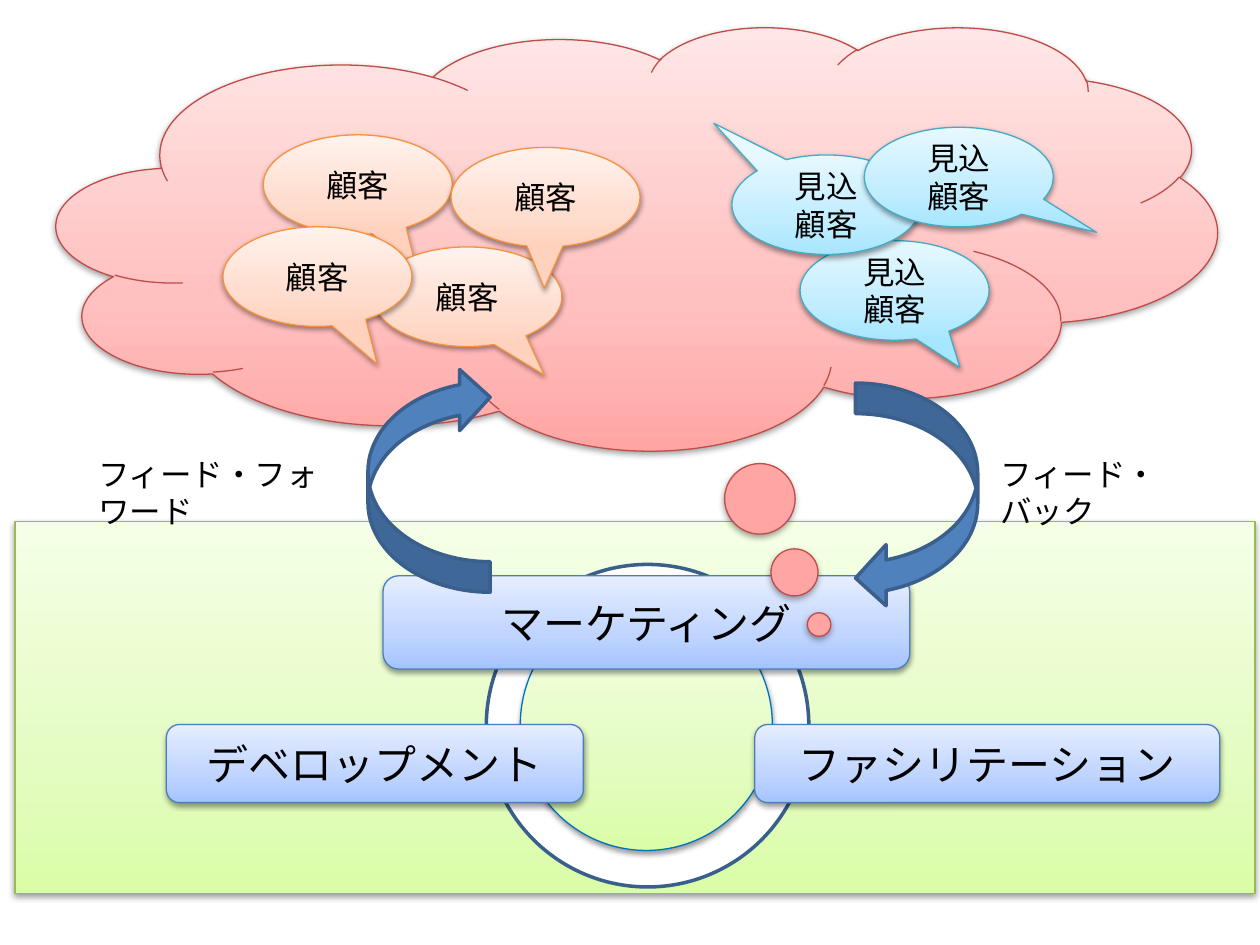
from copy import deepcopy

from pptx import Presentation, util as u
from pptx.dml.color import RGBColor
from pptx.enum import shapes, text
from pptx.oxml import parse_xml
from pptx.oxml.ns import nsdecls, qn

BLACK = RGBColor(0x00, 0x00, 0x00)
WHITE = RGBColor(0xFF, 0xFF, 0xFF)
ARROW_BLUE = RGBColor(0x4F, 0x81, 0xBD)
NAVY = RGBColor(0x3A, 0x5F, 0x8C)
RING_BLUE = RGBColor(0x00, 0x70, 0xC0)
GREEN_EDGE = RGBColor(0x98, 0xB9, 0x55)
BLUE_EDGE = RGBColor(0x4B, 0x7E, 0xBC)
RED_EDGE = RGBColor(0xBF, 0x4C, 0x48)
ORANGE_EDGE = RGBColor(0xF6, 0x92, 0x40)
AQUA_EDGE = RGBColor(0x46, 0xAA, 0xC5)
# Gradients run from the bottom edge to the top edge
GREENS = [RGBColor(0xDA, 0xFD, 0xA7), RGBColor(0xE4, 0xFC, 0xC2), RGBColor(0xF5, 0xFF, 0xE7)]
BLUES = [RGBColor(0xA4, 0xC4, 0xFF), RGBColor(0xBF, 0xD4, 0xFF), RGBColor(0xE6, 0xEE, 0xFF)]
REDS = [RGBColor(0xFF, 0xA6, 0xA5), RGBColor(0xFF, 0xC0, 0xBF), RGBColor(0xFF, 0xE7, 0xE7)]
ORANGES = [RGBColor(0xFF, 0xD2, 0xBD), RGBColor(0xFF, 0xDE, 0xD0), RGBColor(0xFF, 0xF2, 0xED)]
AQUAS = [RGBColor(0xA7, 0xE6, 0xFF), RGBColor(0xC1, 0xED, 0xFF), RGBColor(0xE7, 0xF8, 0xFF)]
STOPS = (0, 0.35, 1)

prs = Presentation()
prs.slide_width, prs.slide_height = u.Inches(10), u.Inches(7.5)
COL, ROW = prs.slide_width / 100, prs.slide_height / 75
slide = prs.slides.add_slide(prs.slide_layouts[6])


def write(box, words, size=18, font="Calibri", align=text.PP_ALIGN.CENTER,
          anchor=text.MSO_ANCHOR.MIDDLE):
    frame = box.text_frame
    frame.word_wrap = True
    frame.vertical_anchor = anchor
    paragraph = frame.paragraphs[0]
    paragraph.text = words
    paragraph.alignment = align
    for run in paragraph.runs:
        run.font.size = u.Pt(size)
        run.font.name = font
        run.font.color.rgb = BLACK


def draw(kind, col, row, cols, rows, fill, edge, weight=0.75, adjust=()):
    """Place a shape on the grid; a list of colours gives a gradient and a soft shadow."""
    shape = slide.shapes.add_shape(kind, *(u.Emu(round(n)) for n in (
        col * COL, row * ROW, cols * COL, rows * ROW)))
    shape.shadow.inherit = False
    shape.line.color.rgb = edge
    shape.line.width = u.Pt(weight)
    for i, value in enumerate(adjust):
        shape.adjustments[i] = value
    if not isinstance(fill, list):
        shape.fill.solid()
        shape.fill.fore_color.rgb = fill
        return shape
    shape.fill.gradient()
    shape.fill.gradient_angle = 90
    properties = shape.element.spPr
    stop_list = properties.find(".//" + qn("a:gsLst"))
    stop_list.insert(1, deepcopy(stop_list[0]))
    for stop, colour, position in zip(shape.fill.gradient_stops, fill, STOPS):
        stop.color.rgb = colour
        stop.position = position
    properties.find(qn("a:effectLst")).append(parse_xml(
        f'<a:outerShdw {nsdecls("a")} blurRad="40000" dist="20000" dir="5400000" '
        'rotWithShape="0"><a:srgbClr val="000000"><a:alpha val="38000"/></a:srgbClr>'
        '</a:outerShdw>'))
    return shape


SHAPE = shapes.MSO_SHAPE

# Company area with the ring that links its three functions
draw(SHAPE.RECTANGLE, 1.2, 41.4, 98.4, 29.5, GREENS, GREEN_EDGE)
draw(SHAPE.OVAL, 38.6, 44.8, 25.6, 25.6, WHITE, NAVY, weight=2)
draw(SHAPE.OVAL, 41.3, 47.5, 20, 20, GREENS, RING_BLUE)

for function, col, row, cols, rows in (
        ("マーケティング", 30.4, 45.7, 41.8, 7.4),
        ("デベロップメント", 13.2, 57.5, 33.1, 6.2),
        ("ファシリテーション", 59.9, 57.5, 36.9, 6.2)):
    write(draw(SHAPE.ROUNDED_RECTANGLE, col, row, cols, rows, BLUES, BLUE_EDGE),
          function, size=24, font="Noto Sans CJK JP")

# Market cloud with the voices inside it
draw(SHAPE.CLOUD_CALLOUT, 4.5, 2.1, 92.1, 33.6, REDS, RED_EDGE, adjust=(0.157, 0.913))

customer = ("顧客", ORANGES, ORANGE_EDGE)
prospect = ("見込\n顧客", AQUAS, AQUA_EDGE)
for (speaker, fill, edge), col, row, tail in (
        (customer, 20.9, 10.7, (0.316, 0.879)),
        (customer, 29.6, 19.6, (0.407, 0.787)),
        (customer, 17.7, 18.0, (0.316, 0.879)),
        (customer, 35.8, 11.7, (-0.006, 0.914)),
        (prospect, 63.5, 19.1, (0.346, 0.775)),
        (prospect, 58.1, 12.3, (-0.596, -0.818)),
        (prospect, 68.6, 10.1, (0.729, 0.556))):
    write(draw(SHAPE.OVAL_CALLOUT, col, row, 15, 7.9, fill, edge, adjust=tail), speaker)

# Exchange between market and company
for col, row, turn in ((67.9, 30.4, 0), (29.2, 29.1, 180)):
    draw(SHAPE.CURVED_LEFT_ARROW, col, row, 9.7, 17.9, ARROW_BLUE, NAVY, weight=2).rotation = turn

for flow, col, cols in (("フィード・フォワード", 6.8, 21.8), ("フィード・バック", 78.4, 17.6)):
    label = slide.shapes.add_textbox(*(u.Emu(round(n)) for n in (
        col * COL, 35.6 * ROW, cols * COL, 4 * ROW)))
    write(label, flow, align=text.PP_ALIGN.LEFT, anchor=text.MSO_ANCHOR.TOP)

prs.save("out.pptx")
